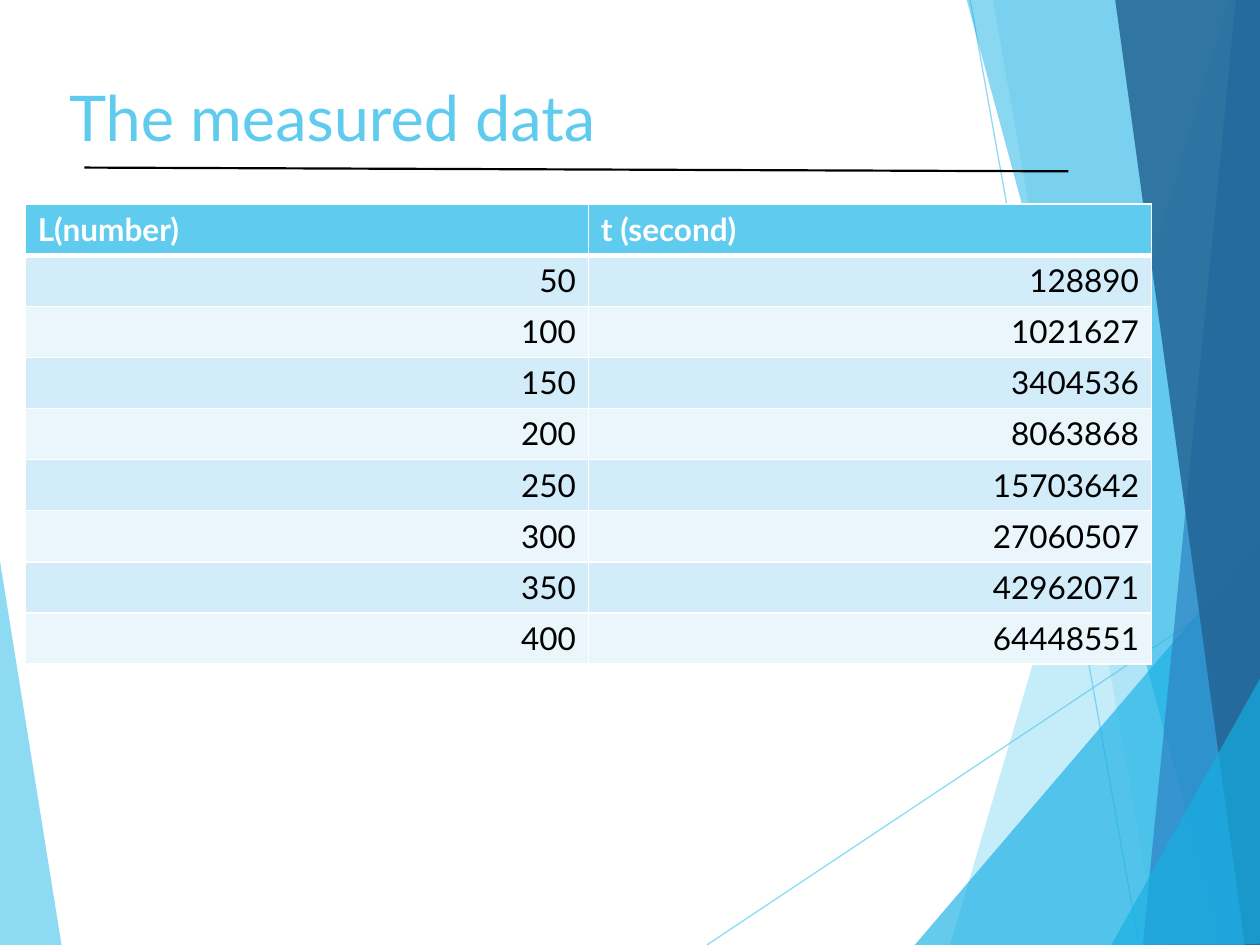
from dataclasses import dataclass
from lxml.etree import SubElement
from pptx import Presentation
from pptx.dml.color import RGBColor
from pptx.enum.shapes import MSO_CONNECTOR as Connector
from pptx.enum.text import MSO_ANCHOR as Anchor, PP_ALIGN as Align
from pptx.oxml.ns import qn
from pptx.util import Inches, Pt

SKY = RGBColor(0x5F, 0xCB, 0xEF)
CYAN = RGBColor(0x17, 0xB0, 0xE4)
BLUE = RGBColor(0x2E, 0x83, 0xC3)
NAVY = RGBColor(0x22, 0x62, 0x92)
WHITE = RGBColor(0xFF, 0xFF, 0xFF)
BLACK = RGBColor(0, 0, 0)
BAND_DARK = RGBColor(0xD2, 0xEC, 0xF9)
BAND_LIGHT = RGBColor(0xEA, 0xF6, 0xFC)
FONT = "Lato"

Point = tuple[float, float]


@dataclass
class Facet:
    points: list[Point]
    color: RGBColor
    opacity: int


@dataclass
class Rule:
    start: Point
    end: Point
    color: RGBColor
    width: float
    opacity: int = 100


LEFT_FACET = Facet([(-0.01, 4.39), (0.49, 7.51), (-0.01, 7.5)], SKY, 70)
RIGHT_FACETS = [
    Facet([(9.75, 0), (7.54, 7.5), (10.02, 7.51), (10.01, 0.01)], SKY, 36),
    Facet([(7.88, -0.01), (9.19, 7.5), (10.01, 7.5), (10.01, -0.01)], SKY, 20),
    Facet([(7.26, 7.5), (10, 4.29), (10.01, 7.5)], CYAN, 66),
    Facet([(7.67, -0.01), (9.7, 7.5), (10.01, 7.49), (10.01, -0.01)], CYAN, 50),
    Facet([(9.81, -0.01), (9.07, 7.5), (10.01, 7.5), (10, -0.01)], BLUE, 70),
    Facet([(8.85, -0.01), (9.88, 7.5), (10.02, 7.5), (10, -0.01)], NAVY, 82),
    Facet([(8.82, 7.5), (10.02, 5.35), (10.02, 7.49)], CYAN, 66),
]
THIN_RULES = [
    Rule((5.61, 7.5), (10.01, 4.57), SKY, 0.75, 70),
    Rule((7.7, 0), (9.04, 7.5), SKY, 0.75, 70),
]
TITLE_RULE = Rule((0.67, 1.33), (8.48, 1.36), BLACK, 1.25)

HEADER = ("L(number)", "t (second)")
TIMES = [128890, 1021627, 3404536, 8063868,
         15703642, 27060507, 42962071, 64448551]
ROWS = [HEADER] + [(str(50 * step), str(time))
                   for step, time in enumerate(TIMES, start=1)]


def set_opacity(element, percent: int) -> None:
    for color in element.iter(qn("a:srgbClr")):
        SubElement(color, qn("a:alpha"), val=str(percent * 1000))


def add_facet(page, facet: Facet) -> None:
    first, *rest = [(Inches(x), Inches(y)) for x, y in facet.points]
    builder = page.shapes.build_freeform(*first)
    builder.add_line_segments(rest, close=True)
    shape = builder.convert_to_shape()
    shape.shadow.inherit = False
    shape.fill.solid()
    shape.fill.fore_color.rgb = facet.color
    shape.line.fill.background()
    set_opacity(shape.element.spPr, facet.opacity)


def add_rule(page, rule: Rule) -> None:
    line = page.shapes.add_connector(
        Connector.STRAIGHT, *[Inches(value) for value in rule.start + rule.end])
    line.line.color.rgb = rule.color
    line.line.width = Pt(rule.width)
    properties = line.element.spPr
    if rule.opacity < 100:
        set_opacity(properties, rule.opacity)
    SubElement(properties, qn("a:effectLst"))


def set_borders(cell, is_header: bool, below_header: bool) -> None:
    properties = cell._tc.get_or_add_tcPr()
    widths = {"lnL": 1, "lnR": 1, "lnT": 3 if below_header else 1,
              "lnB": 3 if is_header else 1}
    for position, (tag, width) in enumerate(widths.items()):
        border = properties.makeelement(qn(f"a:{tag}"), {"w": str(Pt(width))})
        fill = SubElement(border, qn("a:solidFill"))
        SubElement(fill, qn("a:srgbClr"), val=str(WHITE))
        properties.insert(position, border)


def fill_cell(cell, text: str, row: int) -> None:
    is_header = row == 0
    cell.text = text
    para = cell.text_frame.paragraphs[0]
    para.alignment = Align.LEFT if is_header else Align.RIGHT
    para.font.name = FONT
    para.font.size = Pt(18)
    para.font.bold = is_header
    para.font.color.rgb = WHITE if is_header else BLACK
    cell.fill.solid()
    band = BAND_DARK if row % 2 else BAND_LIGHT
    cell.fill.fore_color.rgb = SKY if is_header else band
    set_borders(cell, is_header, below_header=row == 1)


def add_title(page, text: str) -> None:
    box = page.shapes.add_textbox(
        Inches(0.45), Inches(0.57), Inches(7.83), Inches(1.05))
    frame = box.text_frame
    frame.word_wrap = True
    frame.vertical_anchor = Anchor.TOP
    frame.text = text
    font = frame.paragraphs[0].font
    font.name = FONT
    font.size = Pt(36)
    font.color.rgb = SKY


def add_data_table(page) -> None:
    table = page.shapes.add_table(
        len(ROWS), len(HEADER), Inches(0.2), Inches(1.62),
        Inches(8.94), Inches(3.65)).table
    for row, texts in enumerate(ROWS):
        for column, text in enumerate(texts):
            fill_cell(table.cell(row, column), text, row)


deck = Presentation()
deck.slide_width, deck.slide_height = Inches(10), Inches(7.5)
page = deck.slides.add_slide(deck.slide_layouts[6])

# Background facets
add_facet(page, LEFT_FACET)
for thin_rule in THIN_RULES:
    add_rule(page, thin_rule)
for right_facet in RIGHT_FACETS:
    add_facet(page, right_facet)

# Title, data and underline
add_title(page, "The measured data")
add_data_table(page)
add_rule(page, TITLE_RULE)

deck.save("out.pptx")
